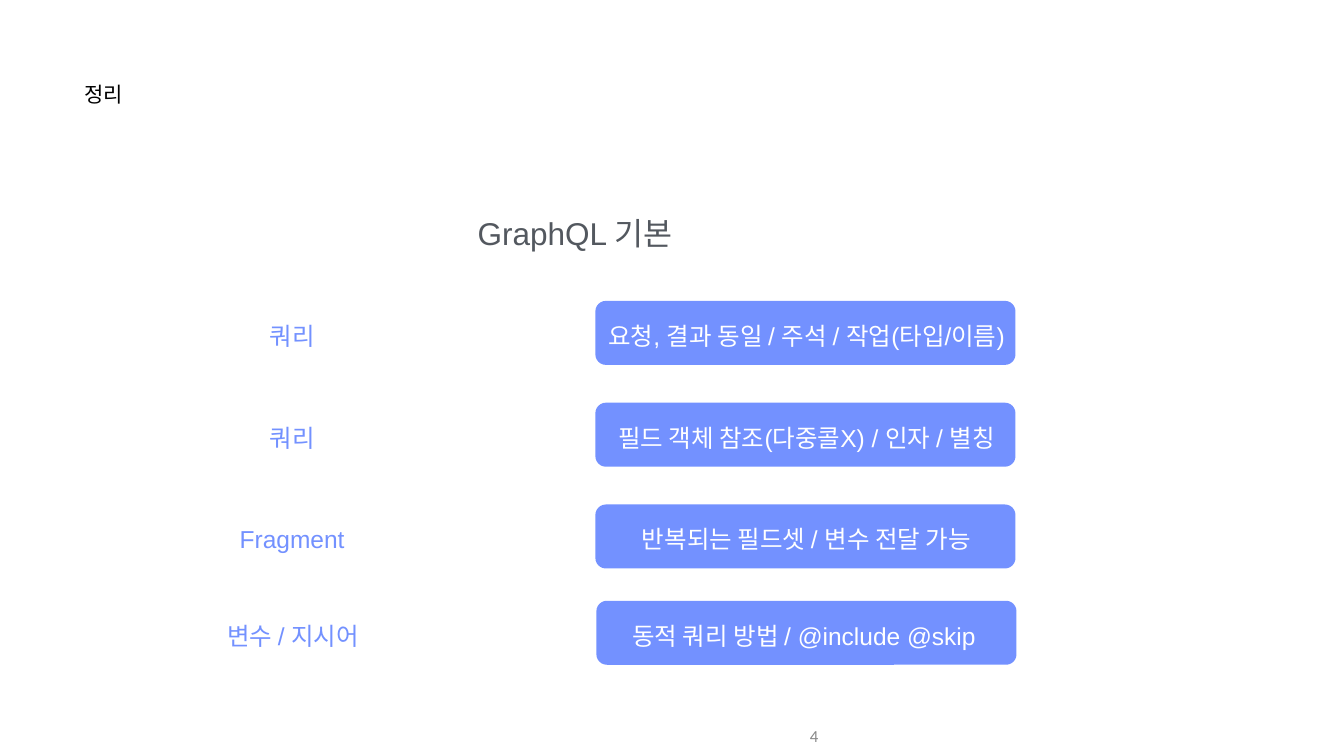
from collections import namedtuple
from dataclasses import dataclass

from pptx import Presentation
from pptx.dml.color import RGBColor
from pptx.enum import shapes, text
from pptx.util import Pt

Box = namedtuple("Box", "left top width height")


@dataclass(frozen=True)
class Theme:
    font: str = "Arial"
    number_font: str = "Calibri"
    accent: str = "7391FF"
    white: str = "FFFFFF"
    black: str = "000000"
    heading: str = "53585F"
    muted: str = "888888"
    title_size: int = 30
    heading_size: int = 45
    body_size: int = 35
    number_size: int = 24


THEME = Theme()
ROWS = [
    (429.84, "쿼리", "요청, 결과 동일 / 주석 / 작업(타입/이름)"),
    (575.28, "쿼리", "필드 객체 참조(다중콜X) / 인자 / 별칭"),
    (720.72, "Fragment", "반복되는 필드셋 / 변수 전달 가능"),
    (858.24, "변수 / 지시어", "동적 쿼리 방법 / @include @skip "),
]


def add_text(slide, box, words, size, color, align=text.PP_ALIGN.CENTER,
             anchor=text.MSO_ANCHOR.MIDDLE, font=THEME.font, insets=(0.72, 0.72)):
    shape = slide.shapes.add_textbox(*map(Pt, box))
    frame = shape.text_frame
    frame.word_wrap = True
    frame.vertical_anchor = anchor
    frame.margin_left = frame.margin_right = Pt(insets[0])
    frame.margin_top = frame.margin_bottom = Pt(insets[1])
    paragraph = frame.paragraphs[0]
    paragraph.alignment = align
    run = paragraph.add_run()
    run.text = words
    run.font.name = font
    run.font.size = Pt(size)
    run.font.color.rgb = RGBColor.from_string(color)


def add_title(slide, box):
    add_text(slide, box, "정리", THEME.title_size, THEME.black,
             text.PP_ALIGN.LEFT, text.MSO_ANCHOR.TOP)


def add_heading(slide, box):
    add_text(slide, box, "GraphQL 기본", THEME.heading_size, THEME.heading,
             anchor=text.MSO_ANCHOR.TOP)


def add_summary_row(slide, box, label, description):
    label_width, card_width = 450, 600
    card_left = box.left + box.width - card_width
    card = slide.shapes.add_shape(
        shapes.MSO_SHAPE.ROUNDED_RECTANGLE,
        Pt(card_left), Pt(box.top), Pt(card_width), Pt(box.height))
    card.adjustments[0] = 0.164
    card.shadow.inherit = False
    card.fill.solid()
    card.fill.fore_color.rgb = RGBColor.from_string(THEME.accent)
    card.line.fill.background()
    text_top, text_height = box.top + 27, 44.64
    add_text(slide, Box(box.left + 1.44, text_top, label_width, text_height),
             label, THEME.body_size, THEME.accent)
    add_text(slide, Box(card_left + 1.44, text_top, card_width, text_height),
             description, THEME.body_size, THEME.white)


def add_page_number(slide, box):
    add_text(slide, box, "4", THEME.number_size, THEME.muted, text.PP_ALIGN.RIGHT,
             font=THEME.number_font, insets=(7.2, 3.6))


def main():
    presentation = Presentation()
    presentation.slide_width = Pt(1919.52)
    presentation.slide_height = Pt(1080)
    slide = presentation.slides.add_slide(presentation.slide_layouts[6])
    add_title(slide, Box(120.24, 115.2, 350, 85))
    add_heading(slide, Box(190.08, 305.28, 1262.88, 57))
    for index, (top, label, description) in enumerate(ROWS):
        left = 192.24 if index == len(ROWS) - 1 else 190.8
        add_summary_row(slide, Box(left, top, 1259.52, 91.44), label, description)
    add_page_number(slide, Box(743.76, 1023.12, 432, 56.88))
    presentation.save("out.pptx")


if __name__ == "__main__":
    main()
